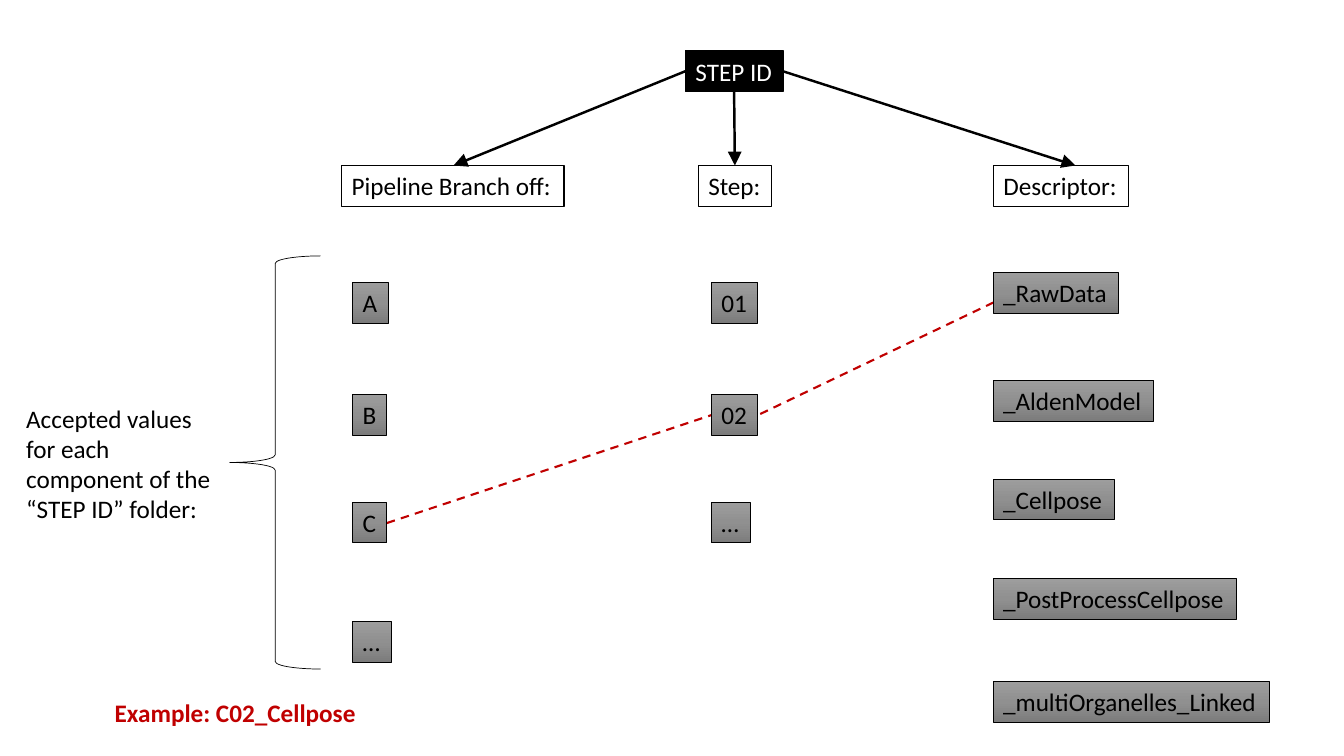
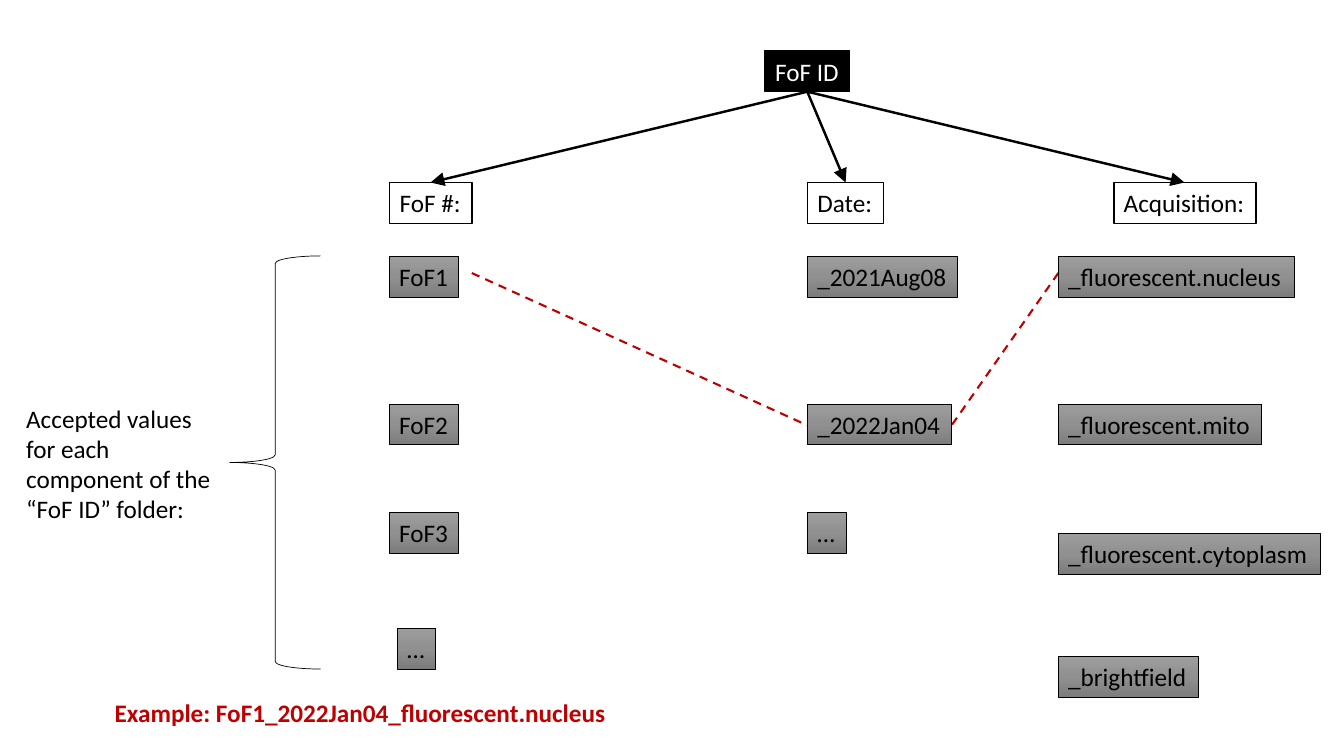
import copy

import lxml.etree
import pptx
import pptx.dml.color
import pptx.enum.dml
import pptx.enum.shapes
import pptx.enum.text
import pptx.oxml.ns
import pptx.util

Cm = pptx.util.Cm
qn = pptx.oxml.ns.qn
AUTO_SIZE = pptx.enum.text.MSO_AUTO_SIZE

COLORS = {
    "ink": "000000",
    "paper": "FFFFFF",
    "accent": "C00000",
    "value_top": "9D9D9D",
    "value_middle": "909090",
    "value_bottom": "7C7C7C",
}
BOX_HEIGHT = 1.03
LEFT, BOTTOM, RIGHT = 1, 2, 3


def rgb(color):
    return pptx.dml.color.RGBColor.from_string(COLORS[color])


def write_text(shape, text, color="ink", bold=False, wrap=False,
               auto_size=AUTO_SIZE.SHAPE_TO_FIT_TEXT):
    frame = shape.text_frame
    frame.word_wrap = wrap
    frame.auto_size = auto_size
    frame.vertical_anchor = pptx.enum.text.MSO_ANCHOR.TOP
    paragraph = frame.paragraphs[0]
    paragraph.alignment = pptx.enum.text.PP_ALIGN.LEFT
    run = paragraph.add_run()
    run.text = text
    run.font.name = "Calibri"
    run.font.size = pptx.util.Pt(18)
    run.font.bold = bold
    run.font.color.rgb = rgb(color)


class NamingDiagram:
    def __init__(self):
        self.deck = pptx.Presentation()
        self.deck.slide_width = Cm(33.87)
        self.deck.slide_height = Cm(19.05)
        self.slide = None

    def start_slide(self):
        self.slide = self.deck.slides.add_slide(self.deck.slide_layouts[5])

    def outline(self, shape, color, width):
        shape.line.color.rgb = rgb(color)
        shape.line.width = pptx.util.Pt(width)

    def shape(self, kind, left, top, width, height, line_width):
        shape = self.slide.shapes.add_shape(
            kind, Cm(left), Cm(top), Cm(width), Cm(height))
        shape.shadow.inherit = False
        self.outline(shape, "ink", line_width)
        return shape

    def box(self, left, top, width, line_width):
        return self.shape(pptx.enum.shapes.MSO_SHAPE.RECTANGLE,
                          left, top, width, BOX_HEIGHT, line_width)

    def root(self, text, left, width):
        title = self.slide.shapes.title
        title.left, title.top = Cm(left), Cm(1.28)
        title.width, title.height = Cm(width), Cm(BOX_HEIGHT)
        title.fill.solid()
        title.fill.fore_color.rgb = rgb("ink")
        self.outline(title, "ink", 1)
        title.text_frame.margin_right = 0
        write_text(title, text, color="paper", wrap=True, auto_size=AUTO_SIZE.NONE)
        return title

    def heading(self, text, left, top, width):
        heading = self.box(left, top, width, 1)
        heading.fill.solid()
        heading.fill.fore_color.rgb = rgb("paper")
        write_text(heading, text)

    def value(self, text, left, top, width):
        value = self.box(left, top, width, 0.5)
        value.fill.gradient()
        stops = value.element.spPr.find(".//" + qn("a:gsLst"))
        stops.insert(1, copy.deepcopy(stops[0]))
        shades = ("value_top", "value_middle", "value_bottom")
        for stop, shade, position in zip(value.fill.gradient_stops, shades, (0, 0.5, 1)):
            stop.color.rgb = rgb(shade)
            stop.position = position
        value.fill.gradient_angle = 270
        write_text(value, text)

    def caption(self, text, left, top, width, height, **text_format):
        caption = self.slide.shapes.add_textbox(
            Cm(left), Cm(top), Cm(width), Cm(height))
        write_text(caption, text, **text_format)

    def brace(self):
        brace = self.shape(pptx.enum.shapes.MSO_SHAPE.LEFT_BRACE,
                           5.79, 6.45, 2.29, 10.41, 0.5)
        brace.fill.background()

    def line(self, color, width, start, end):
        line = self.slide.shapes.add_connector(
            pptx.enum.shapes.MSO_CONNECTOR.STRAIGHT,
            *(Cm(length) for length in (*start, *end)))
        self.outline(line, color, width)
        lxml.etree.SubElement(line.element.spPr, qn("a:effectLst"))
        return line

    def arrow(self, root, side, tip):
        arrow = self.line("ink", 1.75, tip, tip)
        arrow.begin_connect(root, side)
        outline = arrow.element.spPr.find(qn("a:ln"))
        lxml.etree.SubElement(outline, qn("a:tailEnd"),
                              type="triangle", w="lg", len="lg")

    def trace(self, start, end):
        trace = self.line("accent", 1.5, start, end)
        trace.line.dash_style = pptx.enum.dml.MSO_LINE.DASH

    def build(self, name, root_left, root_width, heading_top, headings,
              columns, traces, example, example_width):
        self.start_slide()
        root = self.root(name, root_left, root_width)
        for text, left, width, side, tip in headings:
            self.heading(text, left, heading_top, width)
            self.arrow(root, side, (tip, heading_top))
        for start, end in traces:
            self.trace(start, end)
        for left, values in columns:
            for text, top, width in values:
                self.value(text, left, top, width)
        self.brace()
        self.caption(f"Accepted values for each component of the “{name}” folder:",
                     0.41, 10.03, 5.31, 3.33, wrap=True)
        self.caption(f"Example: {example}", 2.64, 17.45, example_width, BOX_HEIGHT,
                     color="accent", bold=True)


STEP_FOLDER = dict(
    name="STEP ID", root_left=17.27, root_width=2.46, heading_top=4.17,
    headings=[
        ("Pipeline Branch off:", 8.61, 5.61, LEFT, 11.43),
        ("Step:", 17.6, 1.85, BOTTOM, 18.52),
        ("Descriptor:", 25.04, 3.4, RIGHT, 27.1),
    ],
    columns=[
        (8.89, [("A", 7.11, 0.89), ("B", 9.93, 0.86),
                ("C", 12.65, 0.86), ("…", 15.65, 0.97)]),
        (17.93, [("01", 7.11, 1.17), ("02", 9.93, 1.17), ("…", 12.65, 0.97)]),
        (25.03, [("_RawData", 6.86, 3.15), ("_AldenModel", 9.58, 4.05),
                 ("_Cellpose", 12.07, 3.05), ("_PostProcessCellpose", 14.58, 6.12),
                 ("_multiOrganelles_Linked", 17.17, 6.96)]),
    ],
    traces=[((9.75, 13.18), (17.93, 10.46)), ((25.04, 7.62), (19.1, 10.46))],
    example="C02_Cellpose", example_width=6.63,
)

FOF_FOLDER = dict(
    name="FoF ID", root_left=19.28, root_width=2.13, heading_top=4.6,
    headings=[
        ("FoF #:", 9.82, 2.08, BOTTOM, 10.85),
        ("Date:", 20.35, 1.91, BOTTOM, 21.31),
        ("Acquisition:", 28.07, 3.58, BOTTOM, 29.85),
    ],
    columns=[
        (9.81, [("FoF1", 6.46, 1.75), ("FoF2", 10.18, 1.75), ("FoF3", 12.92, 1.75)]),
        (10.01, [("…", 15.83, 0.97)]),
        (20.35, [("_2021Aug08", 6.46, 3.78), ("_2022Jan04", 10.18, 3.63),
                 ("…", 12.92, 0.97)]),
        (26.67, [("_fluorescent.nucleus", 6.46, 5.94), ("_fluorescent.mito", 10.18, 5.13),
                 ("_fluorescent.cytoplasm", 13.44, 6.6), ("_brightfield", 16.55, 3.53)]),
    ],
    traces=[((11.89, 6.88), (20.35, 10.72)), ((26.67, 6.88), (23.98, 10.72))],
    example="FoF1_2022Jan04_fluorescent.nucleus", example_width=12.9,
)


def main():
    diagram = NamingDiagram()
    for folder in (STEP_FOLDER, FOF_FOLDER):
        diagram.build(**folder)
    diagram.deck.save("out.pptx")


if __name__ == "__main__":
    main()
